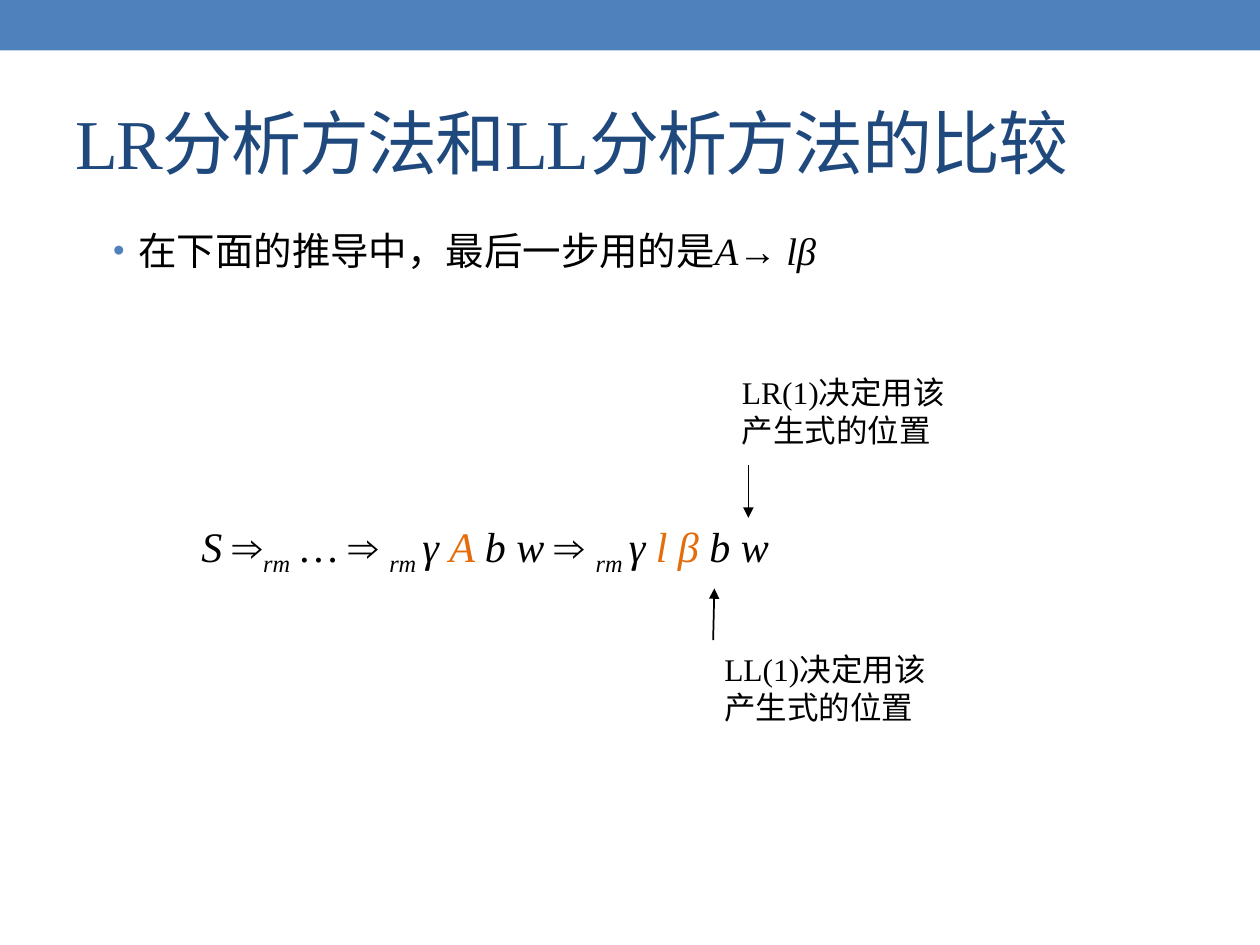
from lxml import etree
from pptx import Presentation
from pptx.dml.color import RGBColor
from pptx.enum.shapes import MSO_CONNECTOR, MSO_SHAPE
from pptx.enum.text import MSO_ANCHOR
from pptx.oxml.ns import qn
from pptx.util import Inches, Pt

LINE = MSO_CONNECTOR.STRAIGHT
RECT = MSO_SHAPE.RECTANGLE
TOP, MIDDLE = MSO_ANCHOR.TOP, MSO_ANCHOR.MIDDLE
FONT = "Times New Roman"
BLUE, NAVY, ORANGE, BLACK = "4F81BD", "1F497D", "E46C0A", "000000"
SUB = "-25000"


def color(code):
    return RGBColor.from_string(code)


def style(para, size, code=BLACK):
    para.font.name = FONT
    para.font.size = Pt(size)
    para.font.color.rgb = color(code)


def add_text(slide, box, lines, size, code=BLACK, anchor=TOP, wrap=True):
    shape = slide.shapes.add_textbox(*map(Inches, box))
    frame = shape.text_frame
    frame.word_wrap = wrap
    frame.vertical_anchor = anchor
    for i, line in enumerate(lines):
        para = frame.add_paragraph() if i else frame.paragraphs[0]
        if line:
            para.add_run().text = line
        style(para, size, code)
    return frame.paragraphs[0]


def add_run(para, text, italic=True, code=None, sub=False):
    run = para.add_run()
    run.text = text
    run.font.italic = italic
    if code:
        run.font.color.rgb = color(code)
    if sub:
        run.font._element.set("baseline", SUB)
    return run


def add_bullet(para):
    props = para._p.get_or_add_pPr()
    props.set("marL", str(Inches(0.5)))
    props.set("indent", str(Inches(-0.2)))
    tint = etree.SubElement(props, qn("a:buClr"))
    etree.SubElement(tint, qn("a:srgbClr"), val=BLUE)
    etree.SubElement(props, qn("a:buSzPct"), val="85000")
    etree.SubElement(props, qn("a:buFont"), typeface="Arial")
    etree.SubElement(props, qn("a:buChar"), char="•")


def add_arrow(slide, x1, y1, x2, y2):
    arrow = slide.shapes.add_connector(LINE, *map(Inches, (x1, y1, x2, y2)))
    arrow.line.color.rgb = color(BLACK)
    arrow.line.width = Pt(1)
    etree.SubElement(arrow.line._get_or_add_ln(), qn("a:tailEnd"), type="triangle")
    etree.SubElement(arrow._element.spPr, qn("a:effectLst"))


def add_band(slide):
    band = slide.shapes.add_shape(RECT, 0, 0, Inches(10), Inches(0.4))
    band.shadow.inherit = False
    band.fill.solid()
    band.fill.fore_color.rgb = color(BLUE)
    band.line.fill.background()


def add_rule(slide):
    para = add_text(slide, (0.5, 1.75, 9, 0.6), [""], 22)
    add_bullet(para)
    add_run(para, "在下面的推导中，最后一步用的是", False)
    add_run(para, "A")
    add_run(para, "→ ", False)
    add_run(para, "lβ")


def add_proof(slide):
    para = add_text(slide, (1.5, 4.08, 7, 0.5), [""], 24)
    # Each step: text before the arrow, the arrow, its subscript
    for text, sign, mark in (("S ", "⇒", "rm"), (" … ", "⇒ ", "rm ")):
        add_run(para, text)
        add_run(para, sign, False)
        add_run(para, mark, sub=True)
    add_run(para, "γ ")
    add_run(para, "A ", code=ORANGE)
    add_run(para, "b w ")
    add_run(para, "⇒ ", False)
    add_run(para, "rm ", sub=True)
    add_run(para, "γ ")
    add_run(para, "l β", code=ORANGE)
    add_run(para, " b w")


def main():
    deck = Presentation()
    deck.slide_width, deck.slide_height = Inches(10), Inches(7.5)
    slide = deck.slides.add_slide(deck.slide_layouts[6])

    # Band and title
    add_band(slide)
    title = add_text(slide, (0.5, 0.58, 9, 1.08),
                     ["LR分析方法和LL分析方法的比较"], 40, NAVY, MIDDLE)
    title.runs[0].font._element.set("spc", "-100")

    # Rule and derivation
    add_rule(slide)
    add_proof(slide)

    # Notes with arrows to the deciding places
    notes = (
        ("LL(1)", (5.65, 5.11, 2.58, 1.08), (5.66, 5.08, 5.67, 4.67)),
        ("LR(1)", (5.79, 2.91, 2.09, 0.78), (5.94, 3.69, 5.94, 4.11)),
    )
    for name, box, ends in notes:
        add_text(slide, box, [name + "决定用该", "产生式的位置"], 18, wrap=False)
        add_arrow(slide, *ends)

    deck.save("out.pptx")


if __name__ == "__main__":
    main()
